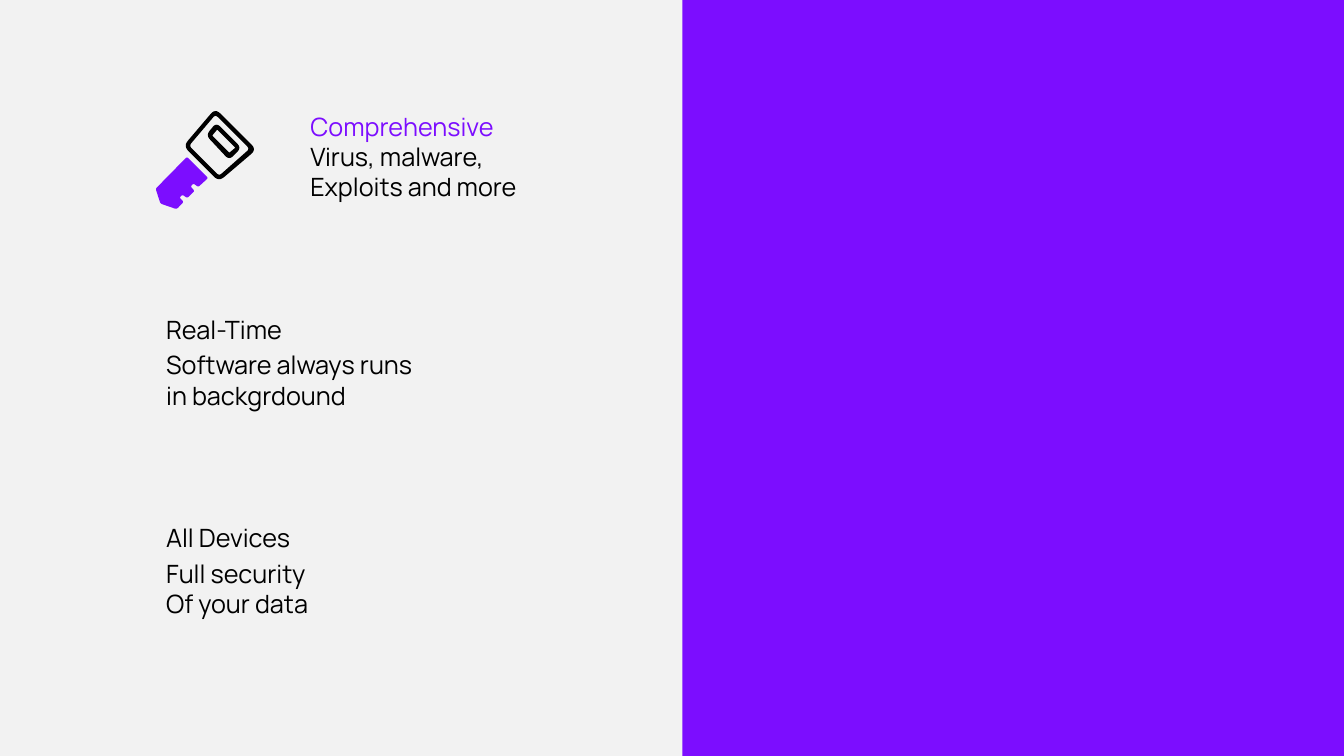
from dataclasses import dataclass
from pptx import Presentation
from pptx.dml.color import RGBColor as RGB
from pptx.enum.shapes import MSO_SHAPE as Shape
from pptx.enum.text import MSO_AUTO_SIZE as AutoSize
from pptx.util import Pt


@dataclass(frozen=True)
class Theme:
    paper: RGB = RGB(0xF2, 0xF2, 0xF2)
    accent: RGB = RGB(0x7C, 0x0D, 0xFF)
    ink: RGB = RGB(0, 0, 0)
    font: str = "Manrope"
    size: int = 18


def rounded(corners, cut, steps=6):
    outline = []
    for i, (x, y) in enumerate(corners):
        ends = []
        for nx, ny in (corners[i - 1], corners[(i + 1) % len(corners)]):
            length = ((nx - x) ** 2 + (ny - y) ** 2) ** 0.5
            share = min(cut / length, 0.5)
            ends.append((x + (nx - x) * share, y + (ny - y) * share))
        (ax, ay), (bx, by) = ends
        for step in range(steps + 1):
            t = step / steps
            u = 1 - t
            outline.append((Pt(u * u * ax + 2 * u * t * x + t * t * bx),
                            Pt(u * u * ay + 2 * u * t * y + t * t * by)))
    return outline


class Builder:
    def __init__(self, slide, theme):
        self.slide = slide
        self.theme = theme
        slide.background.fill.solid()
        slide.background.fill.fore_color.rgb = theme.paper

    def paint(self, sp, color):
        sp.shadow.inherit = False
        sp.fill.solid()
        sp.fill.fore_color.rgb = color
        sp.line.fill.background()

    def panel(self, x, y, w, h, color):
        sp = self.slide.shapes.add_shape(Shape.RECTANGLE, Pt(x), Pt(y), Pt(w), Pt(h))
        self.paint(sp, color)

    def text(self, x, y, w, h, lines, color, wrap=False):
        tf = self.slide.shapes.add_textbox(Pt(x), Pt(y), Pt(w), Pt(h)).text_frame
        tf.word_wrap = wrap
        tf.auto_size = AutoSize.SHAPE_TO_FIT_TEXT
        for i, line in enumerate(lines):
            p = tf.add_paragraph() if i else tf.paragraphs[0]
            p.text = line
            p.font.name = self.theme.font
            p.font.size = Pt(self.theme.size)
            p.font.color.rgb = color

    def icon(self, parts):
        group = self.slide.shapes.add_group_shape()
        for color, contours in parts:
            outlines = [rounded(corners, cut) for corners, cut in contours]
            builder = group.shapes.build_freeform(*outlines[0][0])
            for i, outline in enumerate(outlines):
                if i:
                    builder.move_to(*outline[0])
                builder.add_line_segments(outline[1:], close=True)
            self.paint(builder.convert_to_shape(), color)


BLADE = [(148.7, 127.1), (133.6, 112), (111.2, 134.8), (114.6, 145.4),
         (126.2, 149.4), (131.2, 144.2), (128.2, 141.1), (130.3, 139),
         (133.7, 141.5), (139, 136.4), (136.1, 133.2), (138.2, 131), (141.6, 133.6)]
HEAD = [(153.8, 77.5), (131, 104.3), (156.3, 129.7), (183.2, 106.8)]
HEAD_HOLE = [(153.9, 81.9), (135.1, 104.1), (156.5, 125.6), (178.3, 106.3)]
SLOT = [(154.5, 87.6), (147.2, 96.6), (163.7, 114.3), (172.4, 105.5)]
SLOT_HOLE = [(155.2, 92.5), (151.6, 96.8), (163.8, 109.1), (168.1, 105.5)]


def main():
    theme = Theme()
    prs = Presentation()
    prs.slide_width, prs.slide_height = Pt(960), Pt(540)
    page = Builder(prs.slides.add_slide(prs.slide_layouts[6]), theme)

    page.panel(487.4, 0, 472.6, 540, theme.accent)

    features = [
        (214.6, 75.6, 97.2, "Comprehensive", 164.2, theme.accent,
         ["Virus, malware,", "Exploits and more"], 173.5, False),
        (111.6, 221, 246.2, "Real-Time", 112.3, theme.ink,
         ["Software always runs in backgrdound"], 205.2, True),
        (111.6, 369.4, 395.3, "All Devices", 115.9, theme.ink,
         ["Full security", "Of your data"], 127.4, False),
    ]
    for x, head_y, body_y, heading, head_w, color, body, body_w, wrap in features:
        page.text(x, head_y, head_w, 29, [heading], color)
        page.text(x, body_y, body_w, 51, body, theme.ink, wrap)

    page.icon([
        (theme.accent, [(BLADE, 1.4)]),
        (theme.ink, [(HEAD, 5), (HEAD_HOLE, 2.5)]),
        (theme.ink, [(SLOT, 4), (SLOT_HOLE, 0.5)]),
    ])
    prs.save("out.pptx")


if __name__ == "__main__":
    main()
